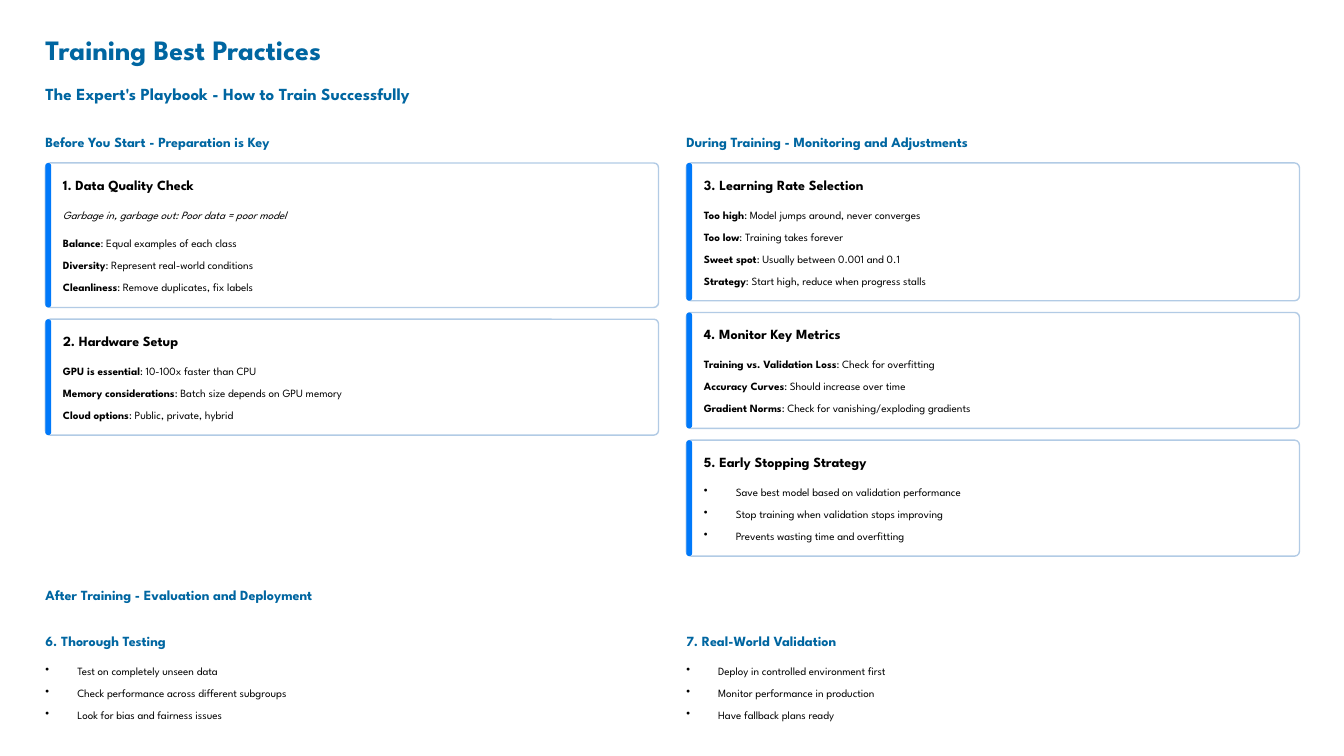
from pptx import Presentation
from pptx.dml.color import RGBColor
from pptx.enum.shapes import MSO_SHAPE
from pptx.enum.text import MSO_ANCHOR, PP_ALIGN
from pptx.oxml.ns import qn
from pptx.util import Inches, Pt

COLORS = {"head": "0066A1", "text": "000000", "card": "FFFFFF", "edge": "B2CBE5", "bar": "0079FA"}
FONT = "League Spartan"
LEFT, RIGHT = 0.54, 8.17
WIDE, INSET = 7.3, 0.21
PITCH, STEP, GAP = 0.26, 0.34, 0.14

deck = Presentation()
deck.slide_width, deck.slide_height = Inches(16), Inches(9)
slide = deck.slides.add_slide(deck.slide_layouts[5])


def write(lines, left, top, width, size=12.0, color="head", bold=True, italic=False,
          bullet=False, lead=15.0, height=0.21, box=None):
    """Fill a text box; a line may be a (bold label, rest) pair."""
    box = box or slide.shapes.add_textbox(0, 0, 0, 0)
    box.left, box.top = Inches(left), Inches(top)
    box.width, box.height = Inches(width), Inches(height)
    frame = box.text_frame
    frame.word_wrap = True
    frame.vertical_anchor = MSO_ANCHOR.TOP
    frame.margin_left = frame.margin_right = frame.margin_top = frame.margin_bottom = 0
    for i, line in enumerate(lines):
        para = frame.add_paragraph() if i else frame.paragraphs[0]
        para.alignment = PP_ALIGN.LEFT
        para.line_spacing = Pt(lead)
        para.space_before = Pt(3.8 if i else 0)
        if bullet:
            props = para._p.get_or_add_pPr()
            props.set("marL", str(Inches(0.38)))
            props.set("indent", str(-Inches(0.38)))
            mark = props.makeelement(qn("a:buChar"), {"char": "•"})
            props.append(mark)
        font = para.font
        font.name, font.size = FONT, Pt(size)
        font.bold, font.italic = bold, italic
        font.color.rgb = RGBColor.from_string(COLORS[color])
        if isinstance(line, tuple):
            label, rest = line
            run = para.add_run()
            run.text, run.font.bold = label, True
            para.add_run().text = ": " + rest
        else:
            para.add_run().text = line


def panel(left, top, width, height, round_by, fill, edge=None):
    shape = slide.shapes.add_shape(MSO_SHAPE.ROUNDED_RECTANGLE, Inches(left), Inches(top),
                                   Inches(width), Inches(height))
    shape.shadow.inherit = False
    shape.adjustments[0] = round_by
    shape.fill.solid()
    shape.fill.fore_color.rgb = RGBColor.from_string(COLORS[fill])
    if edge:
        shape.line.color.rgb = RGBColor.from_string(COLORS[edge])
        shape.line.width = Pt(1.2)
    else:
        shape.line.fill.background()


write(["Training Best Practices"], LEFT, 0.37, 3.55, size=24, lead=30, height=0.42,
      box=slide.shapes.title)
write(["The Expert's Playbook - How to Train Successfully"], LEFT, 0.99, 4.72,
      size=14.5, lead=18, height=0.25)

# Cards: heading, heading width, note, items
columns = [
    (LEFT, "Before You Start - Preparation is Key", 2.87, [
        ("1. Data Quality Check", 1.7, "Garbage in, garbage out: Poor data = poor model", [
            ("Balance", "Equal examples of each class"),
            ("Diversity", "Represent real-world conditions"),
            ("Cleanliness", "Remove duplicates, fix labels")]),
        ("2. Hardware Setup", 1.68, None, [
            ("GPU is essential", "10-100x faster than CPU"),
            ("Memory considerations", "Batch size depends on GPU memory"),
            ("Cloud options", "Public, private, hybrid")]),
    ]),
    (RIGHT, "During Training - Monitoring and Adjustments", 3.6, [
        ("3. Learning Rate Selection", 2.04, None, [
            ("Too high", "Model jumps around, never converges"),
            ("Too low", "Training takes forever"),
            ("Sweet spot", "Usually between 0.001 and 0.1"),
            ("Strategy", "Start high, reduce when progress stalls")]),
        ("4. Monitor Key Metrics", 1.74, None, [
            ("Training vs. Validation Loss", "Check for overfitting"),
            ("Accuracy Curves", "Should increase over time"),
            ("Gradient Norms", "Check for vanishing/exploding gradients")]),
        ("5. Early Stopping Strategy", 2.05, None, [
            "Save best model based on validation performance",
            "Stop training when validation stops improving",
            "Prevents wasting time and overfitting"]),
    ]),
]
for left, title, width, cards in columns:
    write([title], left, 1.58, width)
    top = 1.94
    for head, span, note, items in cards:
        tall = 0.6 + PITCH * len(items) + (STEP if note else 0)
        panel(left, top, WIDE, tall, 0.057 / tall, "card", "edge")
        panel(left, top, 0.07, tall, 0.5, "bar")
        inner, row = left + INSET, top + 0.15
        write([head], inner, row, span, color="text")
        row += STEP
        if note:
            write([note], inner, row, 6.93, size=9.5, color="text", bold=False, italic=True)
            row += STEP
        write(items, inner, row, 6.93, size=9.5, color="text", bold=False,
              bullet=isinstance(items[0], str), height=PITCH * len(items) - 0.05)
        top += tall + GAP

write(["After Training - Evaluation and Deployment"], LEFT, 6.97, 3.4)
lists = [
    (LEFT, "6. Thorough Testing", 1.68, [
        "Test on completely unseen data",
        "Check performance across different subgroups",
        "Look for bias and fairness issues"]),
    (RIGHT, "7. Real-World Validation", 1.93, [
        "Deploy in controlled environment first",
        "Monitor performance in production",
        "Have fallback plans ready"]),
]
for left, head, width, items in lists:
    write([head], left, 7.52, width)
    write(items, left, 7.52 + STEP, WIDE, size=9.5, color="text", bold=False,
          bullet=True, height=PITCH * len(items) - 0.05)

deck.save("out.pptx")
